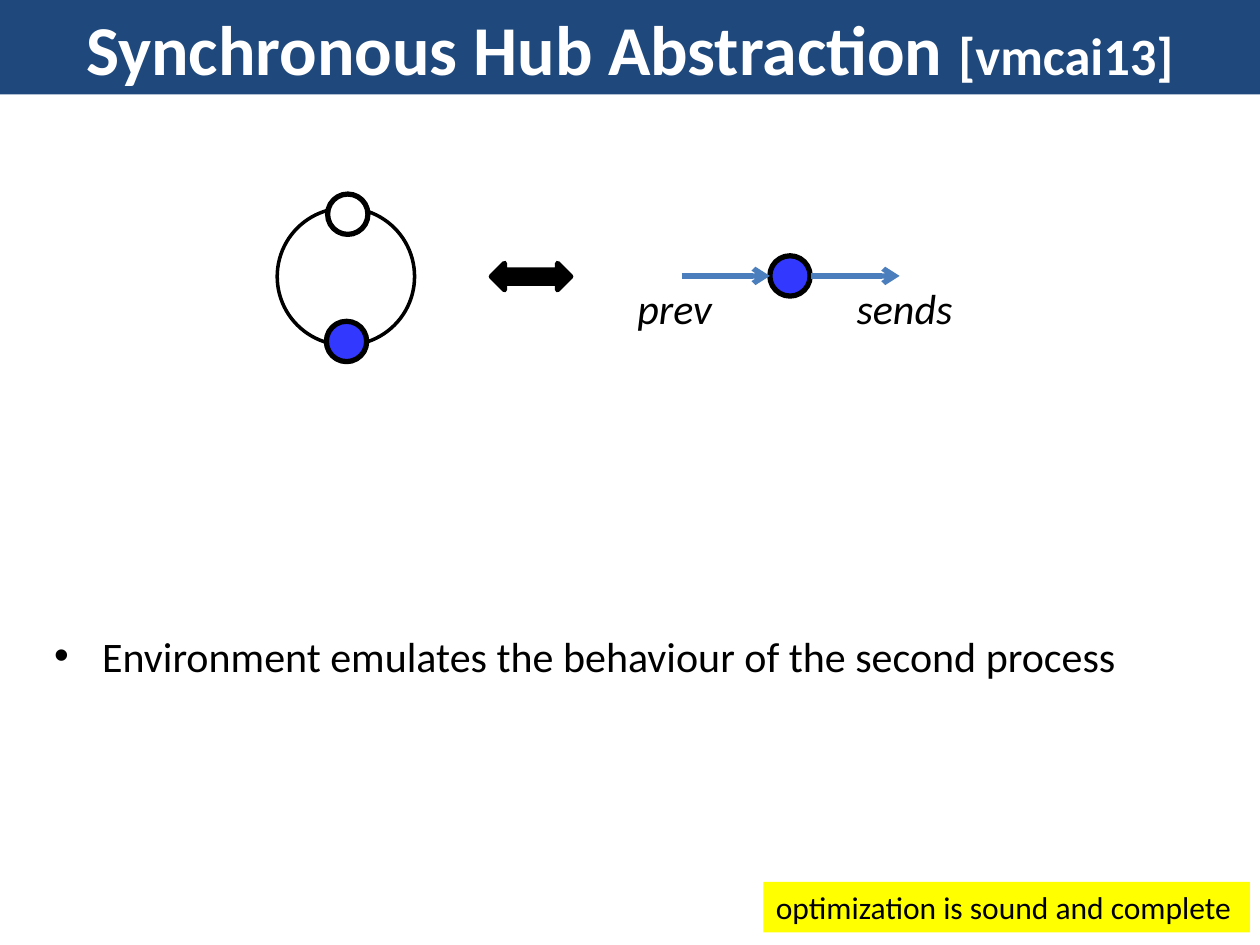
from dataclasses import dataclass

from lxml import etree
from pptx import Presentation
from pptx import util as u
from pptx.dml.color import RGBColor
from pptx.enum import shapes, text
from pptx.oxml import ns

Inches = u.Inches


@dataclass(frozen=True)
class Theme:
    font: str = "Calibri"
    banner: RGBColor = RGBColor(0x1F, 0x49, 0x7D)
    process: RGBColor = RGBColor(0x33, 0x38, 0xFF)
    arrow: RGBColor = RGBColor(0x4B, 0x7E, 0xBC)
    note: RGBColor = RGBColor(0xFF, 0xFF, 0x00)
    black: RGBColor = RGBColor(0, 0, 0)
    white: RGBColor = RGBColor(0xFF, 0xFF, 0xFF)
    title_size: int = 40
    citation_size: int = 30
    text_size: int = 24
    note_size: int = 18


theme = Theme()


def add_span(para, words, size, color=theme.black, bold=False, italic=False):
    """Append one formatted run to a paragraph."""
    span = para.add_run()
    span.text = words
    span.font.name = theme.font
    span.font.size = u.Pt(size)
    span.font.color.rgb = color
    span.font.bold = bold
    span.font.italic = italic


def add_outlined(kind, left, top, width, height, fill=None, weight=3):
    """Add a preset shape with a black outline and an optional fill."""
    shape = page.shapes.add_shape(
        kind, Inches(left), Inches(top), Inches(width), Inches(height))
    shape.shadow.inherit = False
    if fill is None:
        shape.fill.background()
    else:
        shape.fill.solid()
        shape.fill.fore_color.rgb = fill
    shape.line.color.rgb = theme.black
    shape.line.width = u.Pt(weight)


deck = Presentation()
deck.slide_width, deck.slide_height = Inches(10), Inches(7.5)
page = deck.slides.add_slide(deck.slide_layouts[1])

# Title banner
title = page.shapes.title
title.left, title.top, title.width, title.height = 0, 0, Inches(10), Inches(0.75)
title.fill.solid()
title.fill.fore_color.rgb = theme.banner
title.text_frame.auto_size = text.MSO_AUTO_SIZE.NONE
title.text_frame.vertical_anchor = text.MSO_ANCHOR.MIDDLE
para = title.text_frame.paragraphs[0]
para.alignment = text.PP_ALIGN.CENTER
add_span(para, "Synchronous Hub Abstraction ", theme.title_size, theme.white, bold=True)
add_span(para, "[vmcai13]", theme.citation_size, theme.white, bold=True)

# Bulleted statement
body = page.placeholders[1]
body.left, body.top = Inches(0.33), Inches(4.75)
body.width, body.height = Inches(9.33), Inches(2.42)
body.text_frame.auto_size = text.MSO_AUTO_SIZE.NONE
para = body.text_frame.paragraphs[0]
para.line_spacing = 1.5
para.space_before = u.Pt(0)
properties = para._p.get_or_add_pPr()
properties.set("marL", str(Inches(0.38)))
properties.set("indent", str(-Inches(0.38)))
etree.SubElement(properties, ns.qn("a:buFont")).set("typeface", "Arial")
etree.SubElement(properties, ns.qn("a:buChar")).set("char", "•")
add_span(para, "Environment emulates the behaviour of the second process", theme.text_size)

# Ring of two processes, and the single process it is equivalent to
node = 0.32
preset = shapes.MSO_SHAPE
add_outlined(preset.OVAL, 2.2, 1.65, 1.09, 1.09, weight=2)
for left, top, fill in ((2.6, 1.54, theme.white),
                        (2.59, 2.55, theme.process),
                        (6.11, 2.03, theme.process)):
    add_outlined(preset.OVAL, left, top, node, node, fill)
add_outlined(preset.LEFT_RIGHT_ARROW, 3.9, 2.09, 0.63, 0.21, theme.black)

# Incoming and outgoing messages
axis = 2.19
for start in (6.44, 5.41):
    arrow = page.shapes.add_connector(
        shapes.MSO_CONNECTOR.STRAIGHT,
        Inches(start), Inches(axis), Inches(start + 0.7), Inches(axis))
    arrow.line.color.rgb = theme.arrow
    arrow.line.width = u.Pt(3)
    etree.SubElement(arrow.line._get_or_add_ln(), ns.qn("a:tailEnd")).set("type", "arrow")
    etree.SubElement(arrow._element.spPr, ns.qn("a:effectLst"))

# Message labels and closing note
for words, left, top, width, height, size, fill in (
        ("prev", 4.96, axis, 0.8, 0.5, theme.text_size, None),
        ("sends", 6.7, axis, 0.97, 0.5, theme.text_size, None),
        ("optimization is sound and complete", 6.06, 7, 3.86, 0.4,
         theme.note_size, theme.note)):
    box = page.shapes.add_textbox(
        Inches(left), Inches(top), Inches(width), Inches(height))
    box.text_frame.word_wrap = False
    box.text_frame.auto_size = text.MSO_AUTO_SIZE.SHAPE_TO_FIT_TEXT
    if fill is not None:
        box.fill.solid()
        box.fill.fore_color.rgb = fill
    add_span(box.text_frame.paragraphs[0], words, size, italic=fill is None)

deck.save("out.pptx")
